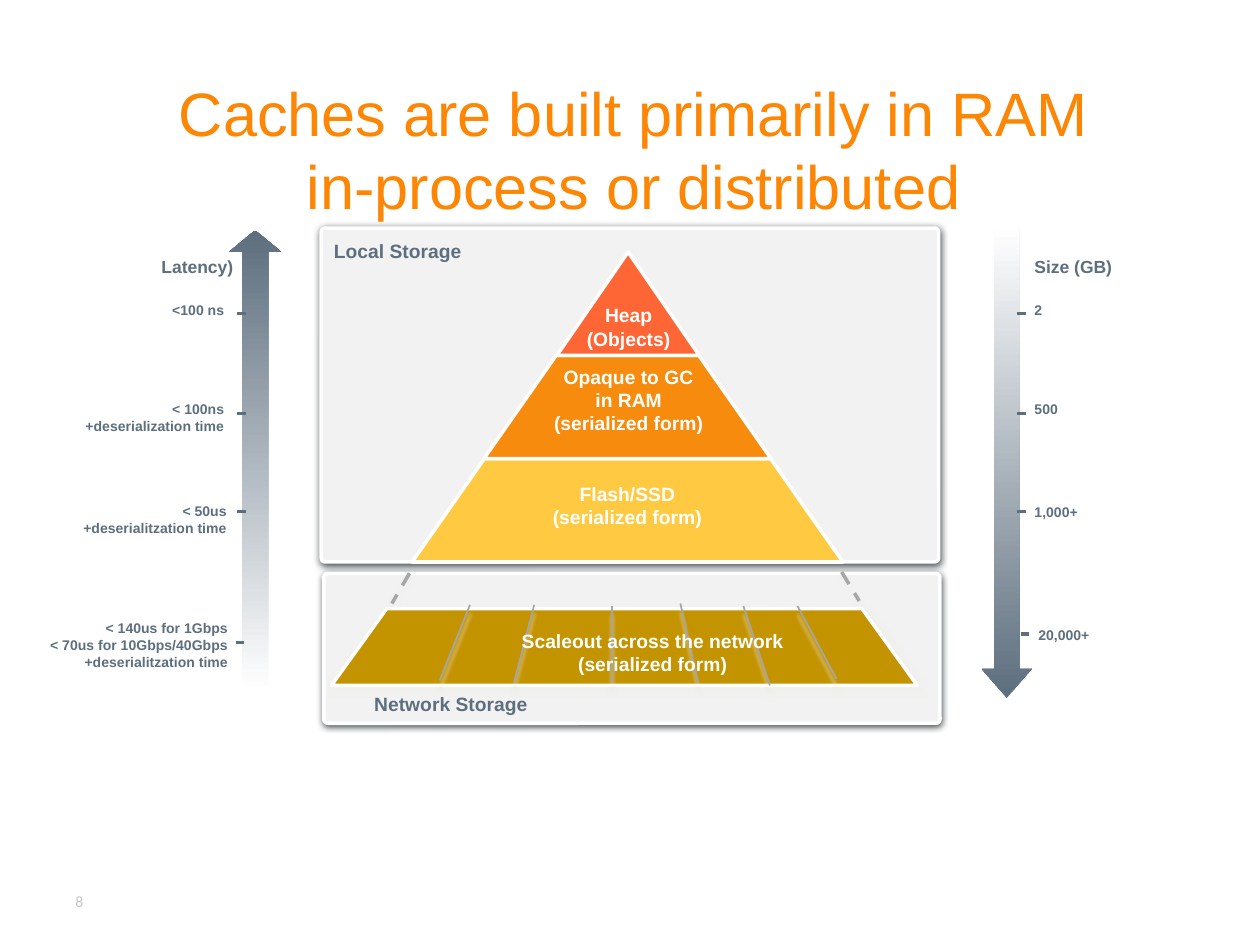
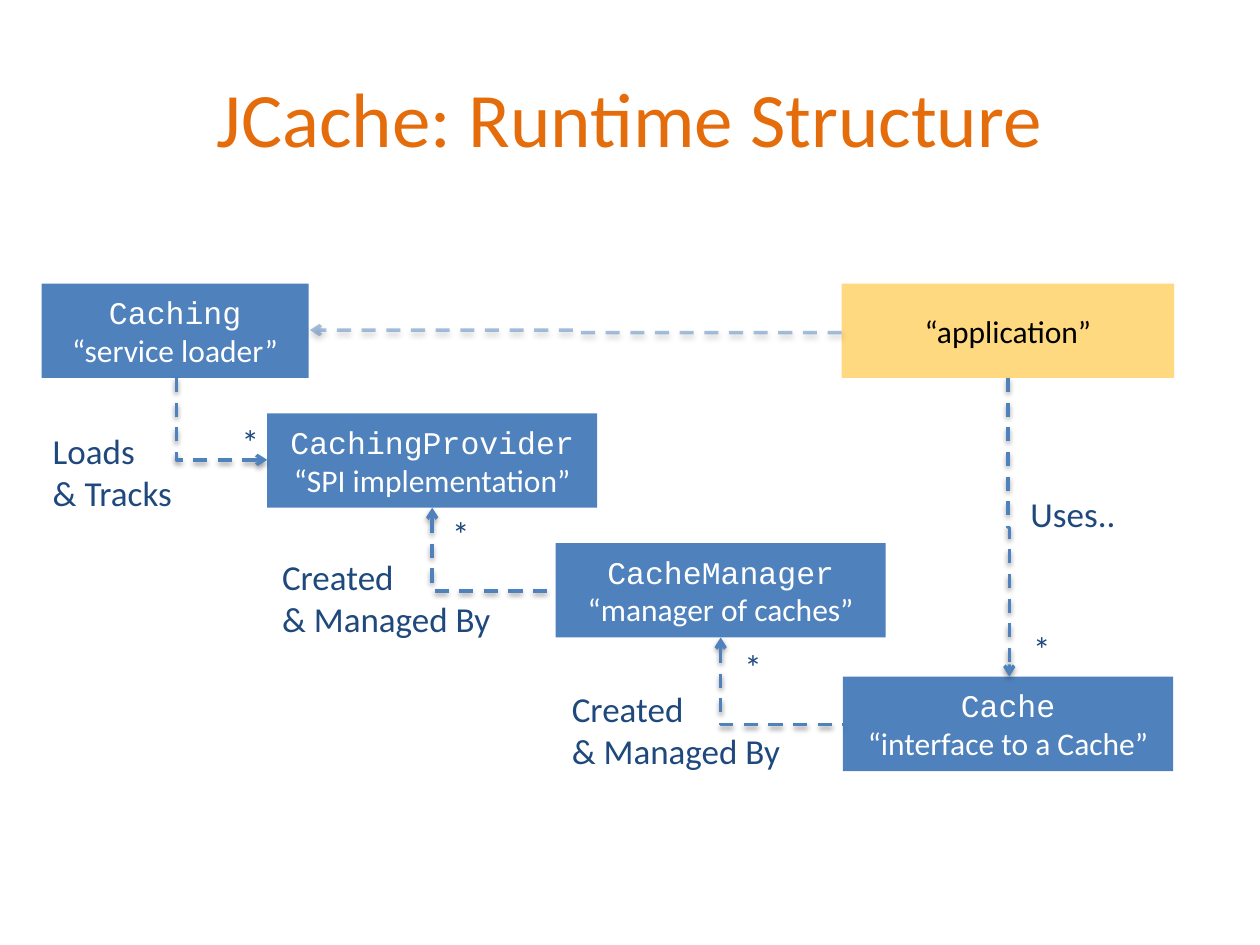
"""Build two slides on cache storage tiers and the JCache runtime structure."""
from lxml.etree import SubElement
from pptx import Presentation
from pptx.dml.color import RGBColor
from pptx.enum.dml import MSO_LINE
from pptx.enum.shapes import MSO_CONNECTOR, MSO_SHAPE
from pptx.enum.text import MSO_ANCHOR, MSO_AUTO_SIZE, PP_ALIGN
from pptx.oxml.ns import qn
from pptx.util import Pt

PX = 9144
WHITE = RGBColor(0xFF, 0xFF, 0xFF)
BLACK = RGBColor(0, 0, 0)
SLATE = RGBColor(0x5D, 0x6E, 0x7E)
PANEL_GREY = RGBColor(0xF2, 0xF2, 0xF2)
LINE_GREY = RGBColor(0xA6, 0xA6, 0xA6)
PAGE_GREY = RGBColor(0xC8, 0xC8, 0xC8)
TITLE_ORANGE = RGBColor(0xFD, 0x86, 0x04)
DARK_ORANGE = RGBColor(0xE4, 0x6C, 0x0A)
RED = RGBColor(0xFF, 0x66, 0x35)
ORANGE = RGBColor(0xF7, 0x8B, 0x0E)
YELLOW = RGBColor(0xFF, 0xCA, 0x41)
GOLD = RGBColor(0xC3, 0x93, 0x00)
AMBER = RGBColor(0xFF, 0xB5, 0x00)
BLUE = RGBColor(0x4F, 0x81, 0xBD)
NAVY = RGBColor(0x1F, 0x49, 0x7D)

LEFT, CENTER, RIGHT = PP_ALIGN.LEFT, PP_ALIGN.CENTER, PP_ALIGN.RIGHT

# Shadows are colour, opacity percent, blur, distance and angle.
PANEL_SHADOW = ("141C23", 75, 4, 1, 90)
BASE_SHADOW = ("EEECE1", 40, 4, 3, 45)
GUIDE_SHADOW = ("EEECE1", 38, 3, 1.6, 90)
DIVIDER_SHADOW = ("EEECE1", 68, 2, 5, 90)
LINK_SHADOW = ("000000", 38, 3.1, 1.6, 90)

PANELS = [(255, 181, 490, 265), (257, 455, 489, 119)]
TIERS = [
    (MSO_SHAPE.TRAPEZOID, (327, 364, 342, 82), 0.7, YELLOW),
    (MSO_SHAPE.TRAPEZOID, (384, 282, 228, 82), 0.7, ORANGE),
    (MSO_SHAPE.ISOSCELES_TRIANGLE, (442, 200, 113, 82), 0.5, RED),
]
NETWORK_TIER = (263, 483, 465, 61)
GUIDES = [(325, 455, 311, 479), (668, 454, 682, 477)]
DIVIDERS = [(373, 480, 349, 540), (424, 480, 408, 542), (486, 481, 486, 542),
            (540, 479, 554, 542), (590, 481, 611, 544), (633, 481, 664, 539)]
TIER_LABELS = [
    ("Heap\n(Objects)", (421, 239, 156, 35)),
    ("Opaque to GC\nin RAM\n(serialized form)", (421, 288, 156, 66)),
    ("Flash/SSD\n(serialized form)", (411, 381, 174, 35)),
    ("Scaleout across the network\n(serialized form)", (392, 497, 252, 31)),
]
PANEL_LABELS = [("Local Storage", (263, 188, 144, 22)),
                ("Network Storage", (295, 547, 160, 22))]
LATENCIES = [
    ("<100 ns", 24, 237),
    ("< 100ns\n+deserialization time", 24, 316),
    ("< 50us\n+deserialitzation time", 26, 397),
    ("< 140us for 1Gbps\n< 70us for 10Gbps/40Gbps\n+deserialitzation time", 27, 490),
]
SIZES = [("2", 819, 237), ("500", 819, 316), ("1,000+", 819, 398), ("20,000+", 822, 495)]
AXIS_TITLES = [("Latency)", (5, 201, 182, 19), RIGHT),
               ("Size (GB)", (819, 201, 142, 19), LEFT)]
TICKS = [(x, y) for x in (188, 807) for y in (249, 328, 406)] + [(187, 510), (810, 503)]
TICK_LENGTH = 7

COMPONENTS = [
    ("Caching\n“service loader”", (33, 225, 212, 75)),
    ("CachingProvider\n“SPI implementation”", (212, 328, 262, 75)),
    ("CacheManager\n“manager of caches”", (441, 431, 262, 75)),
    ("Cache\n“interface to a Cache”", (669, 537, 262, 75)),
]
APPLICATION = ("“application”", (668, 225, 264, 75))
CORNER_LINKS = [((140, 300, 212, 365), "tailEnd"), ((343, 403, 441, 469), "headEnd"),
                ((572, 506, 669, 575), "headEnd")]
USES_LINK = (800, 300, 801, 537)
LOADER_LINK = (668, 264, 246, 262)
LINK_LABELS = [
    ("Loads\n& Tracks", (32, 336, 129, 77)),
    ("Created\n& Managed By", (214, 436, 204, 77)),
    ("Created\n& Managed By", (444, 541, 204, 77)),
    ("Uses..", (808, 386, 142, 44)),
] + [("*", (x, y, 31, 44)) for x, y in [(182, 329), (349, 402), (581, 507), (810, 493)]]


def emu(lengths):
    """Turn px lengths into EMU."""
    return [round(length * PX) for length in lengths]


def write(shape, text, size, font, color, align=LEFT, bold=False, margins=None):
    """Fill a shape with text in one style."""
    frame = shape.text_frame
    frame.text = text
    frame.word_wrap = True
    if margins is not None:
        (frame.margin_left, frame.margin_top,
         frame.margin_right, frame.margin_bottom) = emu([margins] * 4)
    for paragraph in frame.paragraphs:
        paragraph.alignment = align
        for run in paragraph.runs:
            run.font.size = Pt(size)
            run.font.name = font
            run.font.bold = bold
            run.font.color.rgb = color
    return frame


def add_text(slide, text, box, *style, **options):
    """Add a text box."""
    return write(slide.shapes.add_textbox(*emu(box)), text, *style, **options)


def add_label(slide, text, box, size, color, align):
    """Add a bold label with narrow margins."""
    add_text(slide, text, box, size, "Arial", color, align, bold=True, margins=2)


def add_title_slide(presentation, title, box, size, font, color, margins=None):
    """Add a slide with a placed and styled title."""
    slide = presentation.slides.add_slide(presentation.slide_layouts[5])
    shape = slide.shapes.title
    shape.left, shape.top, shape.width, shape.height = emu(box)
    frame = write(shape, title, size, font, color, CENTER, margins=margins)
    frame.vertical_anchor = MSO_ANCHOR.MIDDLE
    frame.auto_size = MSO_AUTO_SIZE.NONE
    return slide


def set_opacity(color_parent, percent):
    """Make the first RGB colour below an element translucent."""
    color = next(color_parent.iter(qn("a:srgbClr")))
    SubElement(color, qn("a:alpha"), val=str(percent * 1000))


def set_shadow(shape, shadow=None):
    """Replace the theme shadow by the given one, or by none."""
    effects = SubElement(shape._element.spPr, qn("a:effectLst"))
    if shadow:
        color, opacity, blur, distance, angle = shadow
        outer = SubElement(effects, qn("a:outerShdw"), blurRad=str(Pt(blur)),
                           dist=str(Pt(distance)), dir=str(angle * 60000), rotWithShape="0")
        SubElement(outer, qn("a:srgbClr"), val=color)
        set_opacity(outer, opacity)


def add_block(slide, kind, box, fill, line=None, shadow=None, adjustments=()):
    """Add a filled preset shape."""
    shape = slide.shapes.add_shape(kind, *emu(box))
    for index, value in enumerate(adjustments):
        shape.adjustments[index] = value
    if isinstance(fill, tuple) and not isinstance(fill, RGBColor):
        shape.fill.gradient()
        shape.fill.gradient_angle = 90
        for stop, color in zip(shape.fill.gradient_stops, fill):
            stop.color.rgb = color
        shape.fill.gradient_stops[0].position = 0
        shape.fill.gradient_stops[1].position = 1
    else:
        shape.fill.solid()
        shape.fill.fore_color.rgb = fill
    if line is None:
        shape.line.fill.background()
    else:
        shape.line.color.rgb = line
        shape.line.width = Pt(2)
    set_shadow(shape, shadow)
    return shape


def add_line(slide, points, color, width=2, dashed=False, shadow=None,
             kind=MSO_CONNECTOR.STRAIGHT, arrow=None):
    """Add a connector between two points."""
    connector = slide.shapes.add_connector(kind, *emu(points))
    connector.line.color.rgb = color
    connector.line.width = Pt(width)
    if dashed:
        connector.line.dash_style = MSO_LINE.DASH
    if arrow:
        SubElement(connector._element.spPr.find(qn("a:ln")), qn(f"a:{arrow}"), type="arrow")
    set_shadow(connector, shadow)
    return connector


def add_link(slide, points, arrow="tailEnd"):
    """Add a dashed elbow arrow."""
    return add_line(slide, points, BLUE, dashed=True, shadow=LINK_SHADOW,
                    kind=MSO_CONNECTOR.ELBOW, arrow=arrow)


def add_downward_link(slide, points, arrow="tailEnd", corner=False):
    """Add an elbow arrow that leaves its start vertically."""
    x1, y1, x2, y2 = points
    width, height = y2 - y1, x2 - x1
    left, top = (x1 + x2 - width) / 2, (y1 + y2 - height) / 2
    connector = add_link(slide, (left, top, left + width, top + height), arrow)
    connector.rotation = 270
    properties = connector._element.spPr
    properties.find(qn("a:xfrm")).set("flipH", "1")
    if corner:
        properties.find(qn("a:prstGeom")).set("prst", "bentConnector2")


def build_storage_slide(presentation):
    """Draw the storage pyramid between its latency and size scales."""
    slide = add_title_slide(
        presentation, "Caches are built primarily in RAM\nin-process or distributed",
        (21, 71, 964, 94), 35, "Arial", TITLE_ORANGE, margins=0)
    add_text(slide, "8", (50, 695, 233, 40), 9, "Calibri",
             PAGE_GREY).vertical_anchor = MSO_ANCHOR.MIDDLE
    add_block(slide, MSO_SHAPE.DOWN_ARROW, (779, 179, 40, 375), (SLATE, WHITE),
              adjustments=(0.5, 0.58))
    add_block(slide, MSO_SHAPE.UP_ARROW, (182, 183, 41, 366), (WHITE, SLATE),
              adjustments=(0.5, 0.41))
    for box in PANELS:
        add_block(slide, MSO_SHAPE.ROUNDED_RECTANGLE, box, PANEL_GREY, WHITE,
                  PANEL_SHADOW, (3 / box[3],))
    for kind, box, slope, color in TIERS:
        add_block(slide, kind, box, color, WHITE, adjustments=(slope,))
    add_block(slide, MSO_SHAPE.TRAPEZOID, NETWORK_TIER, GOLD, WHITE, BASE_SHADOW, (0.72,))
    for points in GUIDES:
        add_line(slide, points, LINE_GREY, dashed=True, shadow=GUIDE_SHADOW)
    for points in DIVIDERS:
        add_line(slide, points, LINE_GREY, width=1, shadow=DIVIDER_SHADOW)
    for x, y in TICKS:
        add_line(slide, (x, y, x + TICK_LENGTH, y), SLATE)
    for text, box in TIER_LABELS:
        add_label(slide, text, box, 11, WHITE, CENTER)
    for text, box in PANEL_LABELS:
        add_label(slide, text, box, 11, SLATE, LEFT)
    for text, box, align in AXIS_TITLES:
        add_label(slide, text, box, 10, SLATE, align)
    for rows, width, align in ((LATENCIES, 156, RIGHT), (SIZES, 72, LEFT)):
        for text, left, top in rows:
            add_label(slide, text, (left, top, width, 16), 8, SLATE, align)


def build_runtime_slide(presentation):
    """Draw the JCache components and the links between them."""
    slide = add_title_slide(presentation, "JCache: Runtime Structure",
                            (50, 30, 900, 125), 44, "Calibri", DARK_ORANGE)
    for text, box in COMPONENTS:
        shape = add_block(slide, MSO_SHAPE.RECTANGLE, box, BLUE)
        frame = write(shape, text, 18, "Calibri", WHITE, CENTER)
        frame.paragraphs[0].runs[0].font.name = "Courier New"
    text, box = APPLICATION
    application = add_block(slide, MSO_SHAPE.RECTANGLE, box, AMBER)
    set_opacity(application._element.spPr, 50)
    write(application, text, 18, "Calibri", BLACK, CENTER)
    for points, arrow in CORNER_LINKS:
        add_downward_link(slide, points, arrow, corner=True)
    add_downward_link(slide, USES_LINK)
    loader_link = add_link(slide, LOADER_LINK)
    set_opacity(loader_link._element.spPr.find(qn("a:ln")), 50)
    for text, box in LINK_LABELS:
        add_text(slide, text, box, 20, "Calibri", NAVY)


def main():
    """Build and save the presentation."""
    presentation = Presentation()
    presentation.slide_width, presentation.slide_height = emu((1000, 750))
    build_storage_slide(presentation)
    build_runtime_slide(presentation)
    presentation.save("out.pptx")


if __name__ == "__main__":
    main()
